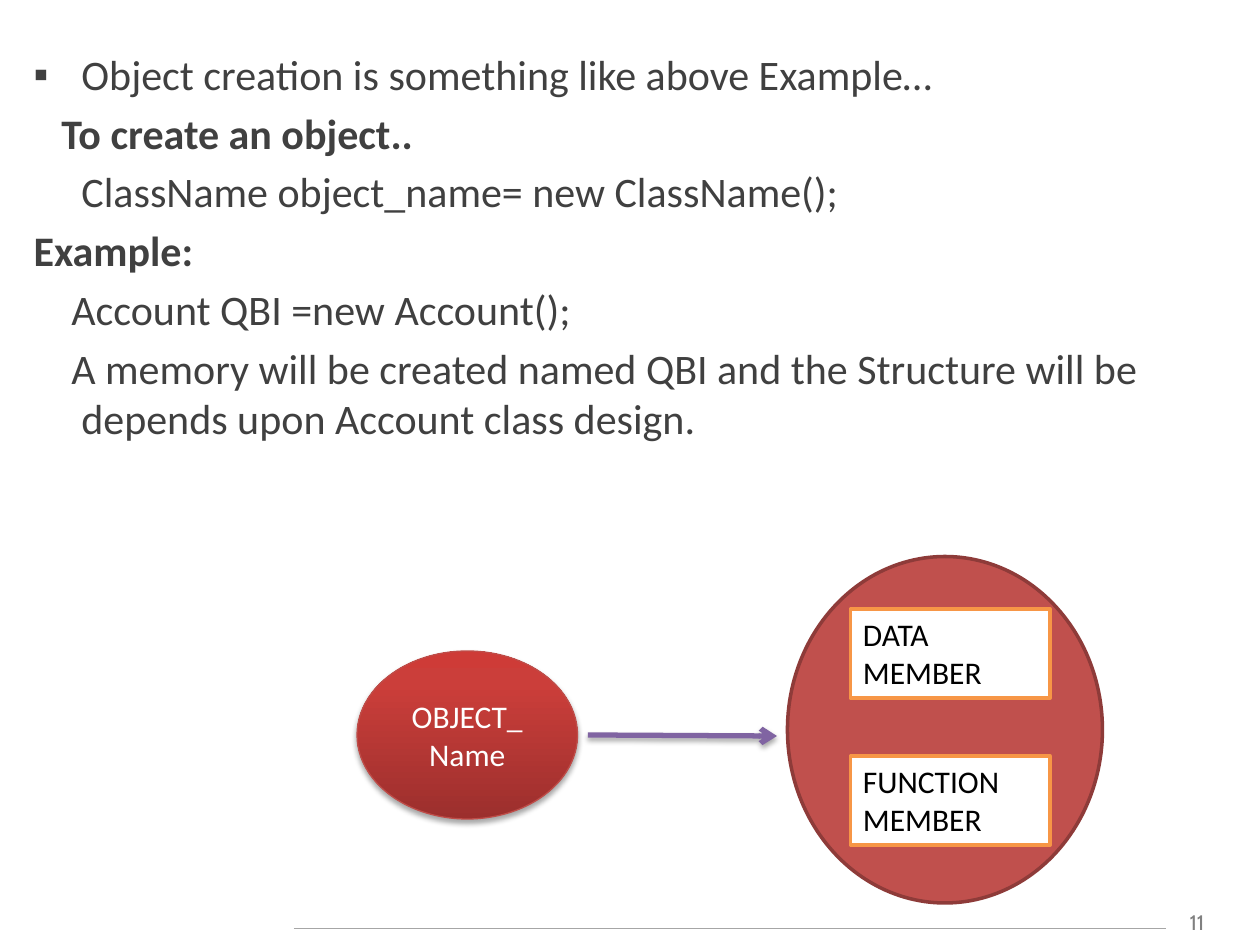
"""Build the object creation slide on a grid of twelfths of an inch."""
from dataclasses import dataclass
from lxml import etree
from pptx import Presentation
from pptx.dml.color import RGBColor
from pptx.enum.shapes import MSO_CONNECTOR, MSO_SHAPE
from pptx.enum.text import MSO_ANCHOR, MSO_AUTO_SIZE, PP_ALIGN
from pptx.oxml import parse_xml
from pptx.util import Inches, Pt

OVAL, RECT = MSO_SHAPE.OVAL, MSO_SHAPE.RECTANGLE
STRAIGHT = MSO_CONNECTOR.STRAIGHT
LEFT, CENTER = PP_ALIGN.LEFT, PP_ALIGN.CENTER
TOP, MIDDLE = MSO_ANCHOR.TOP, MSO_ANCHOR.MIDDLE
FIXED = MSO_AUTO_SIZE.NONE
NS = "http://schemas.openxmlformats.org/drawingml/2006/main"
SHADOW = (f'<a:effectLst xmlns:a="{NS}"><a:outerShdw blurRad="39370" dist="22860" '
          'dir="5400000" rotWithShape="0"><a:srgbClr val="000000">'
          '<a:alpha val="35000"/></a:srgbClr></a:outerShdw></a:effectLst>')


@dataclass
class Para:
    text: str
    margin: float = 0
    first: float = 0
    bold: bool = False
    bullet: str = ""


@dataclass
class Node:
    kind: int
    box: tuple
    fill: str
    edge: str
    width: float
    text: str = ""
    ink: str = "000000"
    align: int = LEFT
    anchor: int = TOP


PARAS = [
    Para("Object creation is something like above Example…", 0.38, -0.38, bullet="▪"),
    Para("To create an object..", 0.22, bold=True),
    Para("ClassName object_name= new ClassName();", 0.38),
    Para("Example:", bold=True),
    Para("Account QBI =new Account();", 0.3),
    Para("A memory will be created named QBI and the Structure will be "
         "depends upon Account class design.", 0.38, -0.08),
]
CLASS = Node(OVAL, (75, 53, 30, 33), "C0504D", "8E3B39", 2)
PARTS = [Node(RECT, (81, row, 19, 8.5), "FFFFFF", "F79646", 2, f"{name} MEMBER")
         for row, name in ((58, "DATA"), (72, "FUNCTION"))]
OBJECT = Node(OVAL, (34, 62, 21, 16), "CB3E3A", "BF4C48", 0.75, "OBJECT_Name",
              "FFFFFF", CENTER, MIDDLE)
STOPS = ((0, "9C2F2D"), (80, "CB3E3A"), (100, "CE3B37"))


def grid(*cells: float) -> list:
    return [Inches(cell / 12) for cell in cells]


def color(value: str) -> RGBColor:
    return RGBColor.from_string(value)


def add_run(para, text: str, size: float, ink: str, face: str = "Calibri",
            bold: bool = False) -> None:
    run = para.add_run()
    run.text = text
    font = run.font
    font.size, font.name, font.bold = Pt(size), face, bold
    font.color.rgb = color(ink)


def fill_body(body) -> None:
    body.left, body.top, body.width, body.height = grid(2, 4, 112, 84)
    frame = body.text_frame
    frame.word_wrap, frame.auto_size = True, FIXED
    frame.vertical_anchor = TOP
    for num, item in enumerate(PARAS):
        para = frame.add_paragraph() if num else frame.paragraphs[0]
        para.space_before = Pt(4.8)
        props = para._p.get_or_add_pPr()
        props.set("marL", str(Inches(item.margin)))
        props.set("indent", str(Inches(item.first)))
        mark = etree.SubElement(props, f"{{{NS}}}" + ("buChar" if item.bullet else "buNone"))
        if item.bullet:
            mark.set("char", item.bullet)
        add_run(para, item.text, 24, "404040", bold=item.bold)


def add_node(slide, node: Node):
    shape = slide.shapes.add_shape(node.kind, *grid(*node.box))
    shape.shadow.inherit = False
    shape.fill.solid()
    shape.fill.fore_color.rgb = color(node.fill)
    shape.line.color.rgb = color(node.edge)
    shape.line.width = Pt(node.width)
    if node.text:
        frame = shape.text_frame
        frame.word_wrap, frame.vertical_anchor = True, node.anchor
        para = frame.paragraphs[0]
        para.alignment = node.align
        add_run(para, node.text, 18, node.ink)
    return shape


def shade(shape) -> None:
    props = shape._element.spPr
    stops = "".join(f'<a:gs pos="{pos * 1000}"><a:srgbClr val="{tone}"/></a:gs>'
                    for pos, tone in STOPS)
    blend = parse_xml(f'<a:gradFill xmlns:a="{NS}" rotWithShape="1"><a:gsLst>{stops}'
                      '</a:gsLst><a:lin ang="16200000" scaled="0"/></a:gradFill>')
    props.replace(props.find(f"{{{NS}}}solidFill"), blend)
    props.replace(props.find(f"{{{NS}}}effectLst"), parse_xml(SHADOW))


def add_line(slide, ends: tuple, tone: str, width: float, arrow: bool = False) -> None:
    line = slide.shapes.add_connector(STRAIGHT, *grid(*ends))
    line.line.color.rgb = color(tone)
    line.line.width = Pt(width)
    props = line._element.spPr
    if arrow:
        etree.SubElement(props.find(f"{{{NS}}}ln"), f"{{{NS}}}tailEnd", type="arrow")
        props.append(parse_xml(SHADOW))
    else:
        etree.SubElement(props, f"{{{NS}}}effectLst")


def add_page(slide) -> None:
    box = slide.shapes.add_textbox(*grid(111, 86, 6, 3.6))
    box.text_frame.word_wrap = True
    para = box.text_frame.paragraphs[0]
    para.alignment = CENTER
    add_run(para, "11", 12, "808080", "Cabin")
    add_line(slide, (28, 88.4, 111, 88.4), "A6A6A6", 0.75)


def main() -> None:
    deck = Presentation()
    deck.slide_width, deck.slide_height = Inches(10), Inches(7.5)
    slide = deck.slides.add_slide(deck.slide_layouts[1])
    title = slide.shapes.title._element
    title.getparent().remove(title)
    fill_body(slide.placeholders[1])
    add_page(slide)
    for node in (CLASS, *PARTS):
        add_node(slide, node)
    shade(add_node(slide, OBJECT))
    add_line(slide, (56, 70, 74, 70.1), "8064A2", 3, True)
    deck.save("out.pptx")


main()
